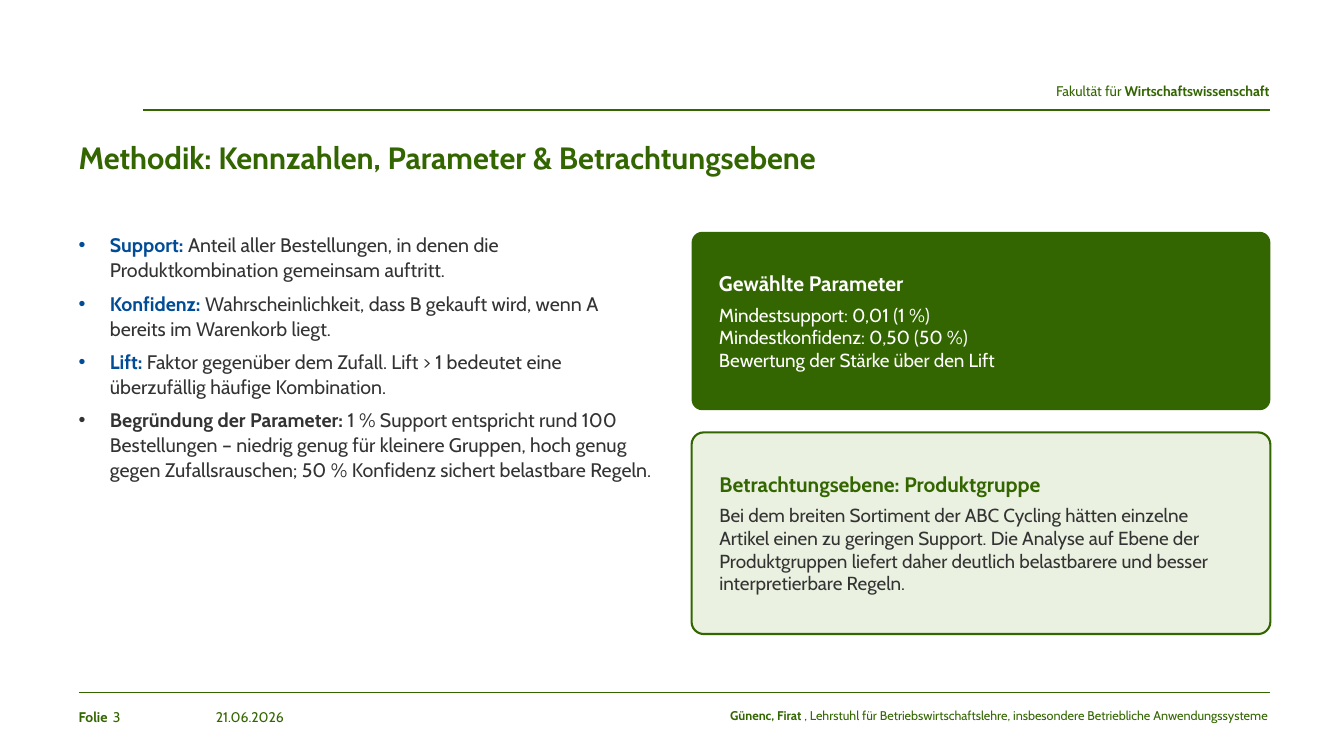
"""Build the slide on key figures, parameters and level of analysis."""
from lxml.etree import SubElement
from pptx import Presentation
from pptx.dml.color import RGBColor
from pptx.enum.shapes import MSO_CONNECTOR as Connector, MSO_SHAPE as Shape
from pptx.enum.text import MSO_ANCHOR as Anchor, MSO_AUTO_SIZE as AutoSize, PP_ALIGN as Align
from pptx.oxml.ns import qn
from pptx.util import Inches, Pt

GREEN = RGBColor(0x33, 0x66, 0x00)
PALE_GREEN = RGBColor(0xEA, 0xF1, 0xE0)
BLUE = RGBColor(0x00, 0x4C, 0x97)
GREY = RGBColor(0x33, 0x33, 0x33)
WHITE = RGBColor(0xFF, 0xFF, 0xFF)

LEFT, COLUMN, GUTTER = 0.78, 5.74, 0.34
RIGHT = LEFT + COLUMN + GUTTER
WIDTH = 2 * COLUMN + GUTTER
EDGE = LEFT + WIDTH
TOP, BOTTOM = 2.3, 6.29


def write(paragraph, text, size=10, color=GREEN, bold=False):
    run = paragraph.add_run()
    run.text = text
    run.font.name = "Cabin"
    run.font.size = Pt(size)
    run.font.color.rgb = color
    run.font.bold = bold


def prepare(frame, across=0, down=0, anchor=Anchor.TOP):
    frame.word_wrap = True
    frame.auto_size = AutoSize.NONE
    frame.vertical_anchor = anchor
    frame.margin_left = frame.margin_right = Inches(across)
    frame.margin_top = frame.margin_bottom = Inches(down)
    return frame


deck = Presentation()
deck.slide_width, deck.slide_height = Inches(13.33), Inches(7.5)
slide = deck.slides.add_slide(deck.slide_layouts[1])
shapes = slide.shapes

for start, height in [(1.42, 1.09), (LEFT, 6.87)]:
    rule = shapes.add_connector(
        Connector.STRAIGHT, Inches(start), Inches(height), Inches(EDGE), Inches(height))
    rule.line.color.rgb = GREEN
    rule.line.width = Pt(1)
    SubElement(rule._element.spPr, qn("a:effectLst"))

margin_notes = [
    (LEFT, 7.03, 0.47, Align.LEFT, 10, [("Folie", True)]),
    (1.12, 7.03, 0.47, Align.LEFT, 10, [("3", False)]),
    (2.14, 7.03, 1.35, Align.LEFT, 10, [("21.06.2026", False)]),
    (7.6, 0.82, 4.99, Align.RIGHT, 10,
     [("Fakultät für ", False), ("Wirtschaftswissenschaft", True)]),
    (3.94, 7.02, 8.63, Align.RIGHT, 9,
     [("Günenc, Firat ", True),
      (", Lehrstuhl für Betriebswirtschaftslehre, insbesondere "
       "Betriebliche Anwendungssysteme", False)]),
]
for left, top, width, align, size, parts in margin_notes:
    note = shapes.add_textbox(Inches(left), Inches(top), Inches(width), Inches(0.25))
    line = prepare(note.text_frame).paragraphs[0]
    line.alignment = align
    for text, bold in parts:
        write(line, text, size=size, bold=bold)

title = shapes.title
title.left, title.top = Inches(LEFT), Inches(1.38)
title.width, title.height = Inches(WIDTH), Inches(0.71)
heading = prepare(title.text_frame).paragraphs[0]
heading.alignment = Align.LEFT
write(heading, "Methodik: Kennzahlen, Parameter & Betrachtungsebene", size=22, bold=True)

definitions = [
    ("Support: ", BLUE,
     "Anteil aller Bestellungen, in denen die Produktkombination gemeinsam auftritt."),
    ("Konfidenz: ", BLUE,
     "Wahrscheinlichkeit, dass B gekauft wird, wenn A bereits im Warenkorb liegt."),
    ("Lift: ", BLUE,
     "Faktor gegenüber dem Zufall. Lift > 1 bedeutet eine überzufällig häufige Kombination."),
    ("Begründung der Parameter: ", GREY,
     "1 % Support entspricht rund 100 Bestellungen – niedrig genug für kleinere Gruppen, "
     "hoch genug gegen Zufallsrauschen; 50 % Konfidenz sichert belastbare Regeln."),
]
body = slide.placeholders[1]
body.left, body.top = Inches(LEFT), Inches(TOP)
body.width, body.height = Inches(COLUMN), Inches(BOTTOM - TOP)
frame = prepare(body.text_frame)
for index, (term, color, meaning) in enumerate(definitions):
    item = frame.add_paragraph() if index else frame.paragraphs[0]
    properties = item._p.get_or_add_pPr()
    properties.set("marL", str(Inches(0.31)))
    properties.set("indent", str(-Inches(0.31)))
    SubElement(properties, qn("a:buChar"), char="•")
    item.line_spacing = 1.06
    item.space_before, item.space_after = Pt(0), Pt(6)
    write(item, term, size=14, color=color, bold=True)
    write(item, meaning, size=14, color=GREY)

cards = [
    (TOP, 1.77, GREEN, WHITE, WHITE, "Gewählte Parameter",
     ["Mindestsupport: 0,01 (1 %)",
      "Mindestkonfidenz: 0,50 (50 %)",
      "Bewertung der Stärke über den Lift"]),
    (BOTTOM - 2, 2, PALE_GREEN, GREEN, GREY, "Betrachtungsebene: Produktgruppe",
     ["Bei dem breiten Sortiment der ABC Cycling hätten einzelne Artikel einen zu geringen "
      "Support. Die Analyse auf Ebene der Produktgruppen liefert daher deutlich belastbarere "
      "und besser interpretierbare Regeln."]),
]
for top, height, fill, head_color, text_color, head, statements in cards:
    card = shapes.add_shape(
        Shape.ROUNDED_RECTANGLE, Inches(RIGHT), Inches(top), Inches(COLUMN), Inches(height))
    card.adjustments[0] = 0.06
    card.shadow.inherit = False
    card.fill.solid()
    card.fill.fore_color.rgb = fill
    if fill == PALE_GREEN:
        card.line.color.rgb = GREEN
        card.line.width = Pt(1.5)
    else:
        card.line.fill.background()
    frame = prepare(card.text_frame, across=0.24, down=0.17, anchor=Anchor.MIDDLE)
    caption = frame.paragraphs[0]
    caption.alignment = Align.LEFT
    write(caption, head, size=15, color=head_color, bold=True)
    for index, statement in enumerate(statements):
        line = frame.add_paragraph()
        line.alignment = Align.LEFT
        line.space_before = Pt(0 if index else 5)
        write(line, statement, size=13.5, color=text_color)

deck.save("out.pptx")
